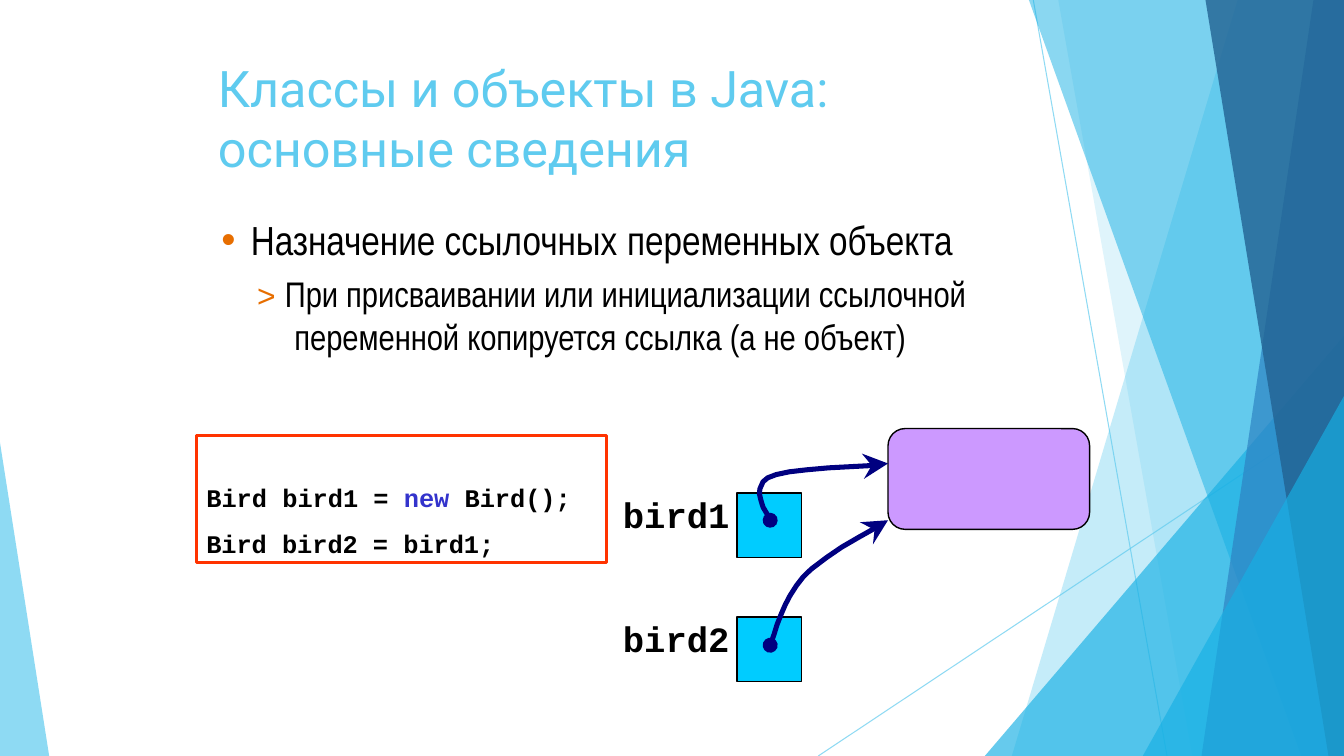
"""Build a slide on assigning object reference variables in Java."""
from lxml.etree import SubElement
from pptx import Presentation
from pptx.dml.color import RGBColor
from pptx.enum.shapes import MSO_CONNECTOR, MSO_SHAPE
from pptx.enum.text import MSO_ANCHOR, MSO_AUTO_SIZE, PP_ALIGN
from pptx.oxml.ns import qn
from pptx.util import Cm, Pt

COLORS = {
    "sky": "5FCBEF", "azure": "17B0E4", "blue": "2E83C3", "deep": "226292",
    "orange": "E76E00", "black": "000000", "red": "FF3300", "keyword": "3333CC",
    "object": "CC99FF", "reference": "00CCFF", "navy": "000080",
}
WIDTH, HEIGHT = 33.87, 19.05
UNIT = Cm(0.01)


def write_text(paragraph, text, size, font, color="black", bold=False, spacing=0):
    run = paragraph.add_run()
    run.text = text
    run.font.size = Pt(size)
    run.font.name = font
    run.font.bold = bold
    run.font.color.rgb = RGBColor.from_string(COLORS[color])
    run._r.get_or_add_rPr().set("spc", str(spacing))


def style_shape(shape, fill=None, line=None, width=1, opacity=100):
    properties = shape.element.spPr
    if fill:
        shape.fill.solid()
        shape.fill.fore_color.rgb = RGBColor.from_string(COLORS[fill])
    elif hasattr(shape, "fill"):
        shape.fill.background()
    if line:
        shape.line.color.rgb = RGBColor.from_string(COLORS[line])
        shape.line.width = Pt(width)
    else:
        shape.line.fill.background()
    if opacity < 100:
        for color in properties.iter(qn("a:srgbClr")):
            SubElement(color, qn("a:alpha"), val=str(opacity * 1000))
    SubElement(properties, qn("a:effectLst"))


presentation = Presentation()
presentation.slide_width, presentation.slide_height = Cm(WIDTH), Cm(HEIGHT)
slide = presentation.slides.add_slide(presentation.slide_layouts[1])
shapes = slide.shapes

for start_x, start_y, end_x, end_y in [(26.04, 0, 29.41, HEIGHT), (WIDTH, 10.24, 20.62, HEIGHT)]:
    ray = shapes.add_connector(
        MSO_CONNECTOR.STRAIGHT, Cm(start_x), Cm(start_y), Cm(end_x), Cm(end_y))
    style_shape(ray, line="sky", width=0.75, opacity=70)

facets = [
    ("band", 3119, 2550, "sky", 36),
    ("band", 2667, 3005, "sky", 20),
    ("triangle", 24.82, 8.46, 9.05, 1, "azure", 66),
    ("band", 2593, 3279, "azure", 50),
    ("band", 3310, 3028, "blue", 70),
    ("band", 3038, 3348, "deep", 80),
    ("triangle", 28.8, 9.98, 5.07, 1, "azure", 66),
    ("triangle", 0, 11.15, 1.24, 0, "sky", 70),
]
for kind, *geometry, color, opacity in facets:
    if kind == "band":
        top_x, bottom_x = geometry
        builder = shapes.build_freeform(top_x, 0, scale=UNIT)
        builder.add_line_segments([(3387, 0), (3387, 1905), (bottom_x, 1905)])
        facet = builder.convert_to_shape()
    else:
        left, top, width, apex = geometry
        facet = shapes.add_shape(
            MSO_SHAPE.ISOSCELES_TRIANGLE, Cm(left), Cm(top), Cm(width), Cm(HEIGHT - top))
        facet.adjustments[0] = apex
    style_shape(facet, fill=color, opacity=opacity)

title, body = shapes.title, slide.placeholders[1]
title.left, title.top, title.width, title.height = Cm(5.49), Cm(1.4), Cm(20.96), Cm(3.1)
body.left, body.top, body.width, body.height = Cm(5.56), Cm(5.13), Cm(19.1), Cm(3.91)
code_box = shapes.add_shape(MSO_SHAPE.RECTANGLE, Cm(4.95), Cm(10.97), Cm(10.34), Cm(3.2))
style_shape(code_box, line="red", width=2)
frame_insets = [(title, 0, 0.03), (body, 0, 0.28), (code_box, 0.25, 1.18)]

bird_object = shapes.add_shape(
    MSO_SHAPE.ROUNDED_RECTANGLE, Cm(22.38), Cm(10.8), Cm(5.08), Cm(2.54))
bird_object.adjustments[0] = 0.17
style_shape(bird_object, fill="object", line="black")

references = [
    ("bird1", [(1941, 1311), (1933, 1295), (1923, 1278), (1918, 1262), (1914, 1245),
               (1915, 1232), (1923, 1214), (1935, 1204), (1956, 1196), (1989, 1189),
               (2032, 1184), (2088, 1179), (2200, 1173)],
     [(2238, 1168), (2177, 1207), (2197, 1173), (2172, 1143)]),
    ("bird2", [(1941, 1626), (1951, 1598), (1958, 1575), (1969, 1547), (1979, 1524),
               (1991, 1501), (2007, 1476), (2024, 1454), (2034, 1444), (2046, 1433),
               (2083, 1405), (2121, 1379), (2164, 1354), (2205, 1331)],
     [(2238, 1311), (2200, 1372), (2204, 1335), (2167, 1316)]),
]
for row, (name, curve, arrowhead) in enumerate(references):
    top = 12.42 + row * 3.13
    square = shapes.add_shape(MSO_SHAPE.RECTANGLE, Cm(18.57), Cm(top), Cm(1.63), Cm(1.63))
    style_shape(square, fill="reference", line="black")
    for points, closed in [(curve, False), (arrowhead, True)]:
        builder = shapes.build_freeform(*points[0], scale=UNIT)
        builder.add_line_segments(points[1:], close=closed)
        arrow_part = builder.convert_to_shape()
        if closed:
            style_shape(arrow_part, fill="navy")
        else:
            style_shape(arrow_part, line="navy", width=3.6)
            outline = arrow_part.element.spPr.find(qn("a:ln"))
            SubElement(outline, qn("a:round"))
            SubElement(outline, qn("a:headEnd"), type="oval", w="med", len="med")
    label = shapes.add_textbox(Cm(15.67), Cm(top - 0.07), Cm(2.8), Cm(1.12))
    write_text(label.text_frame.paragraphs[0], name, 25.4, "Courier New", bold=True, spacing=-5)
    frame_insets.append((label, 0.03, 0.06))

for shape, left_inset, top_inset in frame_insets:
    frame = shape.text_frame
    frame.auto_size = MSO_AUTO_SIZE.NONE
    frame.word_wrap = True
    frame.vertical_anchor = MSO_ANCHOR.TOP
    frame.margin_left, frame.margin_top = Cm(left_inset), Cm(top_inset)
    frame.margin_right = frame.margin_bottom = 0
    frame.paragraphs[0].alignment = PP_ALIGN.LEFT

write_text(title.text_frame.paragraphs[0], "Классы и объекты в Java: основные сведения",
           36, "Roboto", color="sky", spacing=-5)

topic = body.text_frame.paragraphs[0]
detail = body.text_frame.add_paragraph()
write_text(topic, "Назначение ссылочных ", 29, "Arial Narrow")
write_text(topic, "переменных объекта", 29, "Arial Narrow", spacing=-5)
write_text(detail, "> ", 22.7, "Arial", color="orange", spacing=10)
write_text(detail, "При присваивании или инициализации ссылочной переменной "
           "копируется ссылка (а не объект)", 25.4, "Arial Narrow", spacing=-5)
for paragraph, margin, indent, before in [(topic, 0.76, -0.74, 8.2), (detail, 1.86, -0.94, 6.3)]:
    paragraph.space_before = Pt(before)
    properties = paragraph._p.get_or_add_pPr()
    properties.set("marL", str(Cm(margin)))
    properties.set("indent", str(Cm(indent)))
    if paragraph is topic:
        bullet_color = SubElement(properties, qn("a:buClr"))
        SubElement(bullet_color, qn("a:srgbClr"), val=COLORS["orange"])
        SubElement(properties, qn("a:buFont"), typeface="Arial")
        SubElement(properties, qn("a:buChar"), char="•")
    else:
        SubElement(properties, qn("a:buNone"))

creation = code_box.text_frame.paragraphs[0]
assignment = code_box.text_frame.add_paragraph()
assignment.alignment = PP_ALIGN.LEFT
assignment.space_before = Pt(11)
for paragraph, text, color, spacing in [
    (creation, "Bird ", "black", 0), (creation, "bird1 ", "black", -5),
    (creation, "= ", "black", 0), (creation, "new ", "keyword", 0),
    (creation, "Bird();", "black", -5), (assignment, "Bird bird2 ", "black", -5),
    (assignment, "= ", "black", 0), (assignment, "bird1;", "black", -5),
]:
    write_text(paragraph, text, 18.1, "Courier New", color=color, bold=True, spacing=spacing)

presentation.save("out.pptx")
